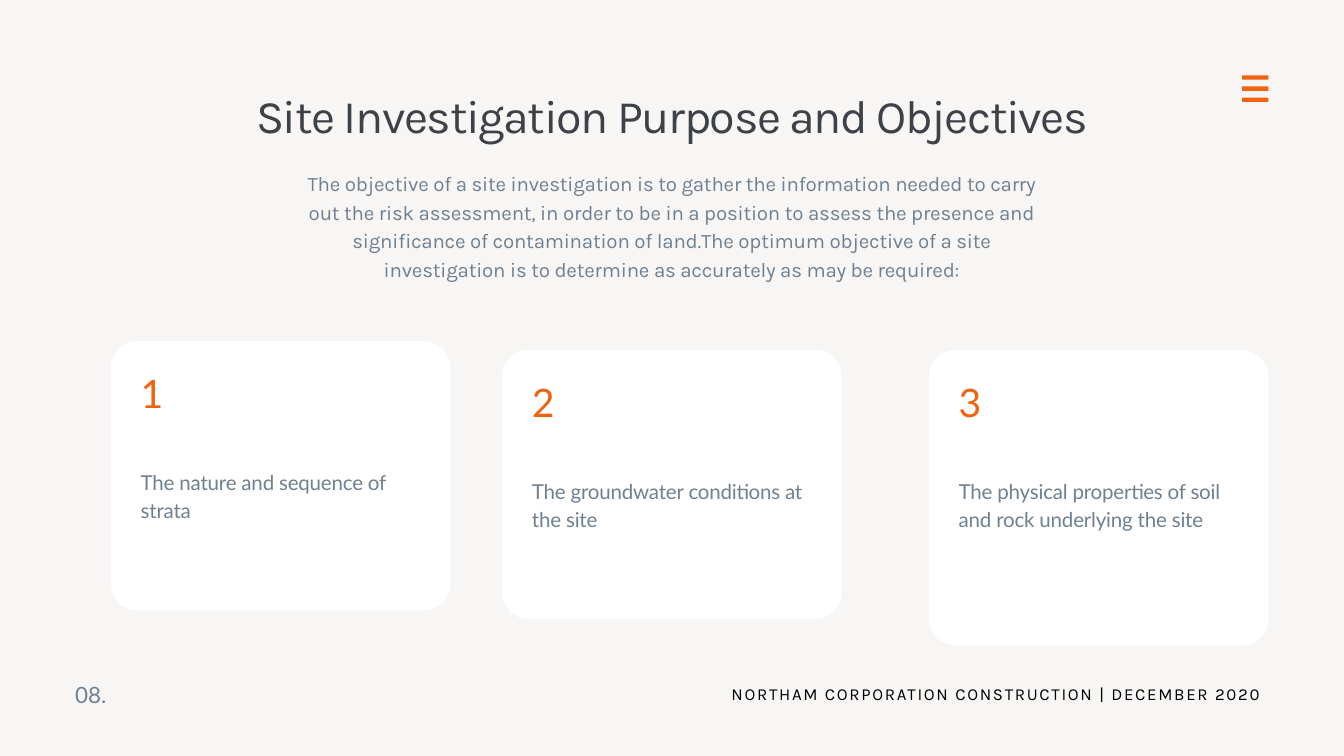
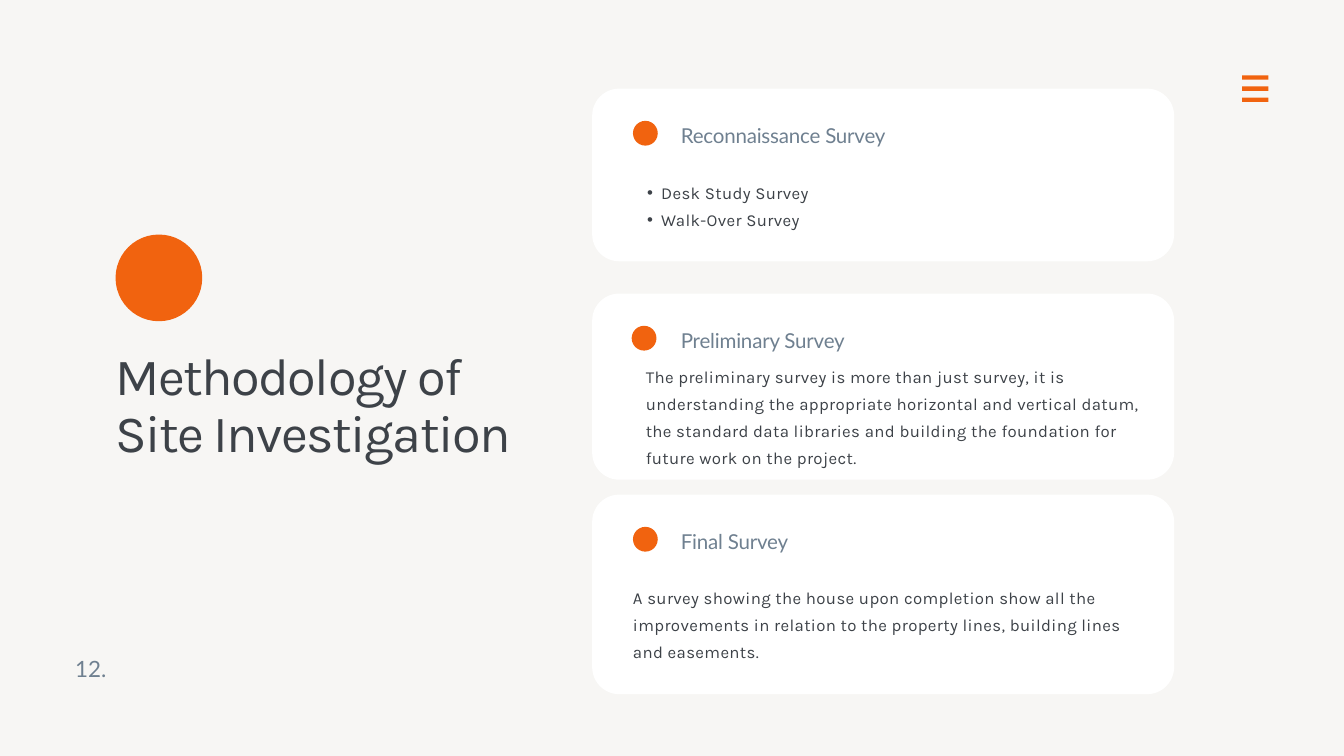
from lxml.etree import SubElement
from pptx import Presentation
from pptx.dml.color import RGBColor
from pptx.enum.shapes import MSO_SHAPE
from pptx.enum.text import MSO_AUTO_SIZE, PP_ALIGN
from pptx.oxml.ns import qn
from pptx.util import Pt

PAPER = RGBColor(0xF7, 0xF6, 0xF4)
WHITE = RGBColor(0xFF, 0xFF, 0xFF)
BLACK = RGBColor(0x00, 0x00, 0x00)
ORANGE = RGBColor(0xF1, 0x63, 0x0F)
SLATE = RGBColor(0x6F, 0x80, 0x90)
CHARCOAL = RGBColor(0x3D, 0x42, 0x48)

# Text styles: font, size, colour, line spacing, letter spacing
TITLE = ("Karla", 50, CHARCOAL, 55, -1.5)
BIG_TITLE = ("Karla", 56, CHARCOAL, 61.6, -1.7)
INTRO = ("Karla", 22, SLATE, 30.8, -0.2)
HEADING = ("Lato", 22, SLATE, 30.8, -0.2)
NUMERAL = ("Lato", 42, ORANGE, 58.8, -0.4)
BODY = ("Karla", 18, CHARCOAL, 28.8, 0.4)
FOOTER = ("Karla", 18, BLACK, 25.2, 1.8)
PAGE_NUMBER = ("Lato", 24, SLATE, 33.6, 0)

CORNER = 29
BAR_PITCH = 11.85

OBJECTIVES = [  # left, top, height, text
    (118.8, 365.5, 288.5, "The nature and sequence of strata"),
    (538, 375, 288.5, "The groundwater conditions at the site"),
    (995.2, 375, 316.8, "The physical properties of soil and rock underlying the site"),
]

SURVEYS = [  # top, height, dot left, text left, text top, heading, lines, bulleted
    (95, 185, 678.2, 678.2, 188.6, "Reconnaissance Survey",
     ["Desk Study Survey", "Walk-Over Survey"], True),
    (314.6, 199.4, 676.8, 691.9, 385.9, "Preliminary Survey",
     ["The preliminary survey is more than just survey, it is understanding the "
      "appropriate horizontal and vertical datum, the standard data libraries and "
      "building the foundation for future work on the project."], False),
    (530, 213.8, 678.2, 678.2, 622.8, "Final Survey",
     ["A survey showing the house upon completion show all the improvements in "
      "relation to the property lines, building lines and easements."], False),
]


class Deck:
    """Holds the shared style and the current page."""

    def __init__(self):
        self.deck = Presentation()
        self.deck.slide_width, self.deck.slide_height = Pt(1440), Pt(810)
        self.page = None

    def new_page(self, number, number_top):
        self.page = self.deck.slides.add_slide(self.deck.slide_layouts[6])
        fill = self.page.background.fill
        fill.solid()
        fill.fore_color.rgb = PAPER
        # Menu icon
        for row in range(3):
            self.shape(MSO_SHAPE.RECTANGLE, 1330.8, 80.8 + row * BAR_PITCH, 28.2, 4.7, ORANGE)
        self.text(80.6, number_top, 345.6, 31.7, [number], PAGE_NUMBER)

    def shape(self, kind, left, top, width, height, colour):
        shape = self.page.shapes.add_shape(kind, Pt(left), Pt(top), Pt(width), Pt(height))
        shape.shadow.inherit = False
        shape.fill.solid()
        shape.fill.fore_color.rgb = colour
        shape.line.fill.background()
        return shape

    def dot(self, left, top, size):
        self.shape(MSO_SHAPE.OVAL, left, top, size, size, ORANGE)

    def card(self, left, top, width, height):
        card = self.shape(MSO_SHAPE.ROUNDED_RECTANGLE, left, top, width, height, WHITE)
        card.adjustments[0] = CORNER / min(width, height)

    def text(self, left, top, width, height, lines, style, align=PP_ALIGN.LEFT, bulleted=False):
        font, size, colour, leading, tracking = style
        box = self.page.shapes.add_textbox(Pt(left), Pt(top), Pt(width), Pt(height))
        frame = box.text_frame
        frame.word_wrap = True
        frame.auto_size = MSO_AUTO_SIZE.SHAPE_TO_FIT_TEXT
        frame.margin_left = frame.margin_right = frame.margin_top = frame.margin_bottom = 0
        for index, line in enumerate(lines):
            para = frame.add_paragraph() if index else frame.paragraphs[0]
            para.alignment = align
            para.line_spacing = Pt(leading)
            if bulleted:
                self.bullet(para)
            span = para.add_run()
            span.text = line
            span.font.name = font
            span.font.size = Pt(size)
            span.font.color.rgb = colour
            span.font._element.set("spc", str(round(tracking * 100)))

    def bullet(self, para):
        para.level = 1
        properties = para._p.get_or_add_pPr()
        properties.set("marL", str(Pt(30.2)))
        properties.set("indent", str(-Pt(15.1)))
        SubElement(properties, qn("a:buFont")).set("typeface", "Arial")
        SubElement(properties, qn("a:buChar")).set("char", "•")


def build_objectives(deck):
    deck.new_page("08.", 725)
    deck.text(215.3, 98, 1009.4, 56.9, ["Site Investigation Purpose and Objectives"],
              TITLE, PP_ALIGN.CENTER)
    deck.text(328.3, 178.6, 782.6, 121.7, [
        "The objective of a site investigation is to gather the information needed to carry "
        "out the risk assessment, in order to be in a position to assess the presence and "
        "significance of contamination of land.The optimum objective of a site "
        "investigation is to determine as accurately as may be required:"],
        INTRO, PP_ALIGN.CENTER)
    # Numbered cards
    for number, (left, top, height, line) in enumerate(OBJECTIVES, 1):
        deck.card(left, top, 364, height)
        deck.text(left + 32, top + 21.5, 60.5, 54.7, [str(number)], NUMERAL)
        deck.text(left + 32, top + 133.3, 299.5, 59, [line], HEADING)
    deck.text(774.7, 729.4, 584.6, 24.5, ["NORTHAM CORPORATION CONSTRUCTION | DECEMBER 2020"],
              FOOTER, PP_ALIGN.CENTER)


def build_methodology(deck):
    deck.new_page("12.", 697)
    # Badge and title
    deck.dot(123.8, 251.3, 92.9)
    deck.text(123.8, 373, 429.1, 125.3, ["Methodology of Site Investigation"], BIG_TITLE)
    # Survey cards
    for top, height, dot_left, text_left, text_top, heading, lines, bulleted in SURVEYS:
        deck.card(634.5, top, 623.5, height)
        deck.dot(dot_left, top + 34.5, 26.6)
        deck.text(729.4, top + 32, 488.2, 29, [heading], HEADING)
        deck.text(text_left, text_top, 539.3, 28.8 * len(lines), lines, BODY, bulleted=bulleted)


def main():
    deck = Deck()
    build_objectives(deck)
    build_methodology(deck)
    deck.deck.save("out.pptx")


if __name__ == "__main__":
    main()
